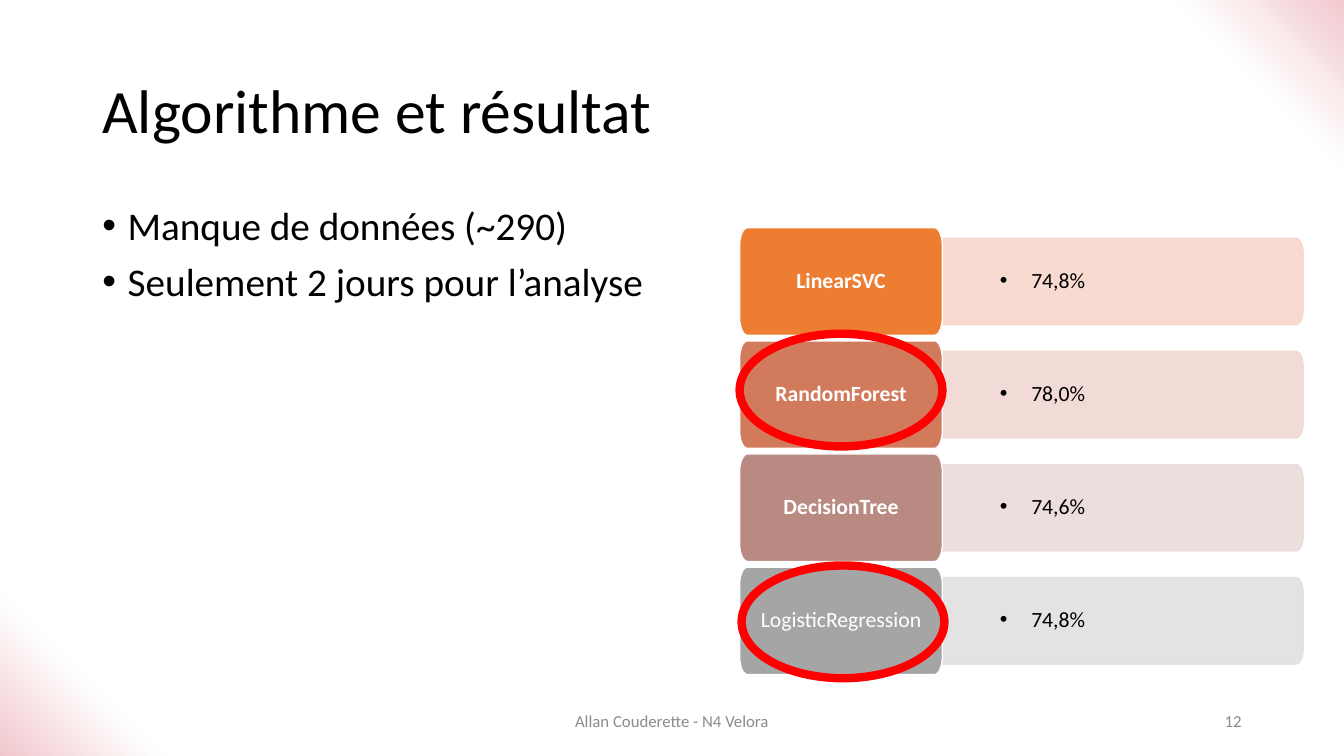
import math
from dataclasses import dataclass

import pptx
import pptx.dml.color
import pptx.enum.shapes
import pptx.enum.text
import pptx.oxml
import pptx.oxml.ns
import pptx.util

Cm = pptx.util.Cm
Pt = pptx.util.Pt
Align = pptx.enum.text.PP_ALIGN
Anchor = pptx.enum.text.MSO_ANCHOR


@dataclass(frozen=True)
class Theme:
    font: str = "Calibri"
    text: str = "000000"
    white: str = "FFFFFF"
    muted: str = "8C8C8C"
    highlight: str = "FF0000"
    corner: str = "F1C8CE"
    title_size: float = 44
    body_size: float = 28
    row_size: float = 15.5
    footer_size: float = 12


THEME = Theme()
SLIDE_WIDTH, SLIDE_HEIGHT = 33.87, 19.05
ROW_TOP, ROW_PITCH = 5.74, 2.85
LABEL_LEFT, LABEL_WIDTH, LABEL_HEIGHT = 18.64, 5.11, 2.71
BAR_LEFT, BAR_WIDTH, BAR_HEIGHT = 23.75, 9.09, 2.18
ROWS = [
    ("LinearSVC", "74,8%", "ED7D31", "F8D7CD", True),
    ("RandomForest", "78,0%", "D17B5C", "F1D8D3", True),
    ("DecisionTree", "74,6%", "B98A82", "E9DBDA", True),
    ("LogisticRegression", "74,8%", "A5A5A5", "E1E1E1", False),
]


def rgb(value):
    return pptx.dml.color.RGBColor.from_string(value)


def xml_element(tag, **attributes):
    element = pptx.oxml.parse_xml(f"<a:{tag} {pptx.oxml.ns.nsdecls('a')}/>")
    for name, value in attributes.items():
        element.set(name, str(value))
    return element


def set_opacity(shape, percent):
    for color in shape._element.spPr.iter(pptx.oxml.ns.qn("a:srgbClr")):
        color.append(xml_element("alpha", val=percent * 1000))


def set_bullet(paragraph, margin, hanging):
    properties = paragraph._p.get_or_add_pPr()
    properties.set("marL", str(Cm(margin)))
    properties.set("indent", str(-Cm(hanging)))
    properties.append(xml_element("buFont", typeface="Arial"))
    properties.append(xml_element("buChar", char="•"))


def write_text(shape, text, size, color, align=Align.LEFT, anchor=Anchor.MIDDLE,
               bold=False, before=0, after=0, spacing=0.9, bullet=None):
    frame = shape.text_frame
    frame.word_wrap = True
    frame.vertical_anchor = anchor
    frame.text = text
    for paragraph in frame.paragraphs:
        paragraph.alignment = align
        paragraph.line_spacing = spacing
        paragraph.space_before = Pt(before)
        paragraph.space_after = Pt(after)
        if bullet:
            set_bullet(paragraph, *bullet)
        for run in paragraph.runs:
            run.font.name = THEME.font
            run.font.size = Pt(size)
            run.font.bold = bold
            run.font.color.rgb = rgb(color)


def add_text(slide, box, text, size, color, **options):
    shape = slide.shapes.add_textbox(*map(Cm, box))
    write_text(shape, text, size, color, **options)


def add_outline(slide, points):
    vertices = [(Cm(x), Cm(y)) for x, y in points]
    builder = slide.shapes.build_freeform(*vertices[0])
    builder.add_line_segments(vertices[1:], close=True)
    shape = builder.convert_to_shape()
    shape.shadow.inherit = False
    return shape


def rounded_points(left, top, width, height, radius_x, radius_y, round_left):
    right, bottom = left + width, top + height
    corners = [
        (right - radius_x, bottom - radius_y, 0, True),
        (left + radius_x, bottom - radius_y, 90, round_left),
        (left + radius_x, top + radius_y, 180, round_left),
        (right - radius_x, top + radius_y, 270, True),
    ]
    points = []
    for center_x, center_y, start, is_round in corners:
        if not is_round:
            points.append((left, bottom if start == 90 else top))
            continue
        for step in range(9):
            angle = math.radians(start + step * 90 / 8)
            points.append((center_x + radius_x * math.cos(angle),
                           center_y + radius_y * math.sin(angle)))
    return points


def add_panel(slide, points, fill, line, insets):
    shape = add_outline(slide, points)
    shape.fill.solid()
    shape.fill.fore_color.rgb = rgb(fill)
    shape.line.color.rgb = rgb(line)
    shape.line.width = Pt(1)
    frame = shape.text_frame
    frame.margin_left, frame.margin_right = map(Cm, insets)
    frame.margin_top = frame.margin_bottom = Cm(0.13)
    return shape


def add_row(slide, top, name, score, label_color, bar_color, bold):
    bar_top = top + (LABEL_HEIGHT - BAR_HEIGHT) / 2
    bar = add_panel(
        slide,
        rounded_points(BAR_LEFT, bar_top, BAR_WIDTH, BAR_HEIGHT, 0.18, 0.36, False),
        bar_color, bar_color, (0.18, 0.2))
    set_opacity(bar, 90)
    write_text(bar, score, THEME.row_size, THEME.text, after=3, bullet=(2.06, 0.79))
    label = add_panel(
        slide,
        rounded_points(LABEL_LEFT, top, LABEL_WIDTH, LABEL_HEIGHT, 0.2, 0.45, True),
        label_color, THEME.white, (0.23, 0.23))
    write_text(label, name, THEME.row_size, THEME.white, align=Align.CENTER,
               bold=bold, after=7)


def add_highlight(slide, left, top):
    shape = slide.shapes.add_shape(
        pptx.enum.shapes.MSO_SHAPE.OVAL, Cm(left), Cm(top), Cm(5.11), Cm(2.84))
    shape.shadow.inherit = False
    shape.fill.background()
    shape.line.color.rgb = rgb(THEME.highlight)
    shape.line.width = Pt(6)


def add_corner(slide, x, y, leg_x, leg_y, angle):
    shape = add_outline(slide, [(x, y), (x + leg_x, y), (x, y + leg_y)])
    shape.line.fill.background()
    shape.fill.gradient()
    shape.fill.gradient_angle = angle
    stops = shape.fill.gradient_stops
    for stop, color, position in zip(stops, (THEME.corner, THEME.white), (0, 0.5)):
        stop.color.rgb = rgb(color)
        stop.position = position


def main():
    presentation = pptx.Presentation()
    presentation.slide_width = Cm(SLIDE_WIDTH)
    presentation.slide_height = Cm(SLIDE_HEIGHT)
    slide = presentation.slides.add_slide(presentation.slide_layouts[6])

    add_corner(slide, SLIDE_WIDTH, 0, -4.2, 4.2, 225)
    add_corner(slide, 0, SLIDE_HEIGHT, 4.2, -4.2, 45)
    add_text(slide, (2.33, 1.01, 29.21, 3.68), "Algorithme et résultat",
             THEME.title_size, THEME.text)
    add_text(slide, (2.33, 5.07, 29.21, 12.09),
             "Manque de données (~290)\nSeulement 2 jours pour l’analyse",
             THEME.body_size, THEME.text, anchor=Anchor.TOP, before=10,
             bullet=(0.64, 0.64))
    add_text(slide, (11.22, 17.66, 11.43, 1.01), "Allan Couderette - N4 Velora",
             THEME.footer_size, THEME.muted, align=Align.CENTER, spacing=1.0)
    add_text(slide, (23.92, 17.66, 7.62, 1.01), "12",
             THEME.footer_size, THEME.muted, align=Align.RIGHT, spacing=1.0)
    for index, row in enumerate(ROWS):
        add_row(slide, ROW_TOP + index * ROW_PITCH, *row)
    add_highlight(slide, 18.64, 8.41)
    add_highlight(slide, 18.69, 14.25)

    presentation.save("out.pptx")


if __name__ == "__main__":
    main()
